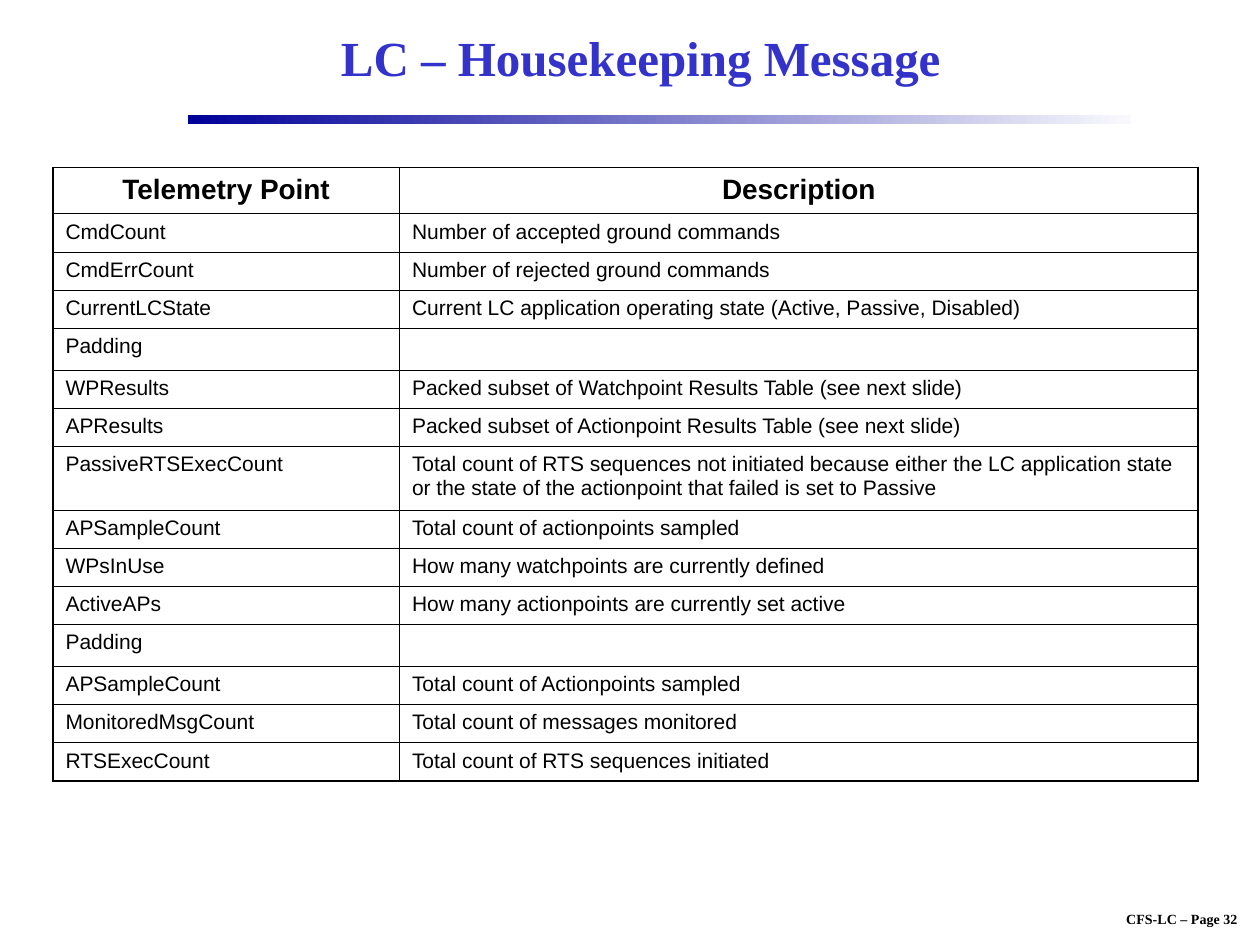
"""Build the LC housekeeping message slide."""
from lxml import etree
from pptx import Presentation, util as u
from pptx.dml.color import RGBColor
from pptx.enum import shapes, text
from pptx.oxml.ns import qn

ROWS = [
    ("Telemetry Point", "Description"),
    ("CmdCount", "Number of accepted ground commands"),
    ("CmdErrCount", "Number of rejected ground commands"),
    ("CurrentLCState", "Current LC application operating state (Active, Passive, Disabled)"),
    ("Padding", ""),
    ("WPResults", "Packed subset of Watchpoint Results Table (see next slide)"),
    ("APResults", "Packed subset of Actionpoint Results Table (see next slide)"),
    ("PassiveRTSExecCount", "Total count of RTS sequences not initiated because either the LC "
     "application state or the state of the actionpoint that failed is set to Passive"),
    ("APSampleCount", "Total count of actionpoints sampled"),
    ("WPsInUse", "How many watchpoints are currently defined"),
    ("ActiveAPs", "How many actionpoints are currently set active"),
    ("Padding", ""),
    ("APSampleCount", "Total count of Actionpoints sampled"),
    ("MonitoredMsgCount", "Total count of messages monitored"),
    ("RTSExecCount", "Total count of RTS sequences initiated"),
]


def tint(code):
    """Turn a hex string into a colour."""
    return RGBColor.from_string(code)


class Deck:
    """Hold the style and the current slide, on a grid of 100 by 75 units."""
    serif, sans = "Times New Roman", "Arial"
    ink, blue, navy, pale, white = "000000", "3333CC", "000099", "F9F9FD", "FFFFFF"
    thin, thick = 0.45, 1.08
    heights = {"Telemetry Point": 26.3, "Padding": 24, "PassiveRTSExecCount": 36.3}

    def __init__(self):
        """Open a deck with one title-only slide."""
        self.prs = Presentation()
        self.prs.slide_width, self.prs.slide_height = u.Inches(10), u.Inches(7.5)
        self.slide = self.prs.slides.add_slide(self.prs.slide_layouts[5])

    def grid(self, *units):
        """Turn grid units into lengths."""
        return [int(self.prs.slide_width * n / 100) for n in units]

    def put(self, para, words, size, face, color, bold=False, align=text.PP_ALIGN.CENTER):
        """Add one styled run to a paragraph."""
        para.alignment = align
        run = para.add_run()
        run.text = words
        font = run.font
        font.size, font.name, font.bold = u.Pt(size), face, bold
        font.color.rgb = tint(color)

    def title(self, words, *box):
        """Place and fill the title."""
        head = self.slide.shapes.title
        head.left, head.top, head.width, head.height = self.grid(*box)
        head.text_frame.vertical_anchor = text.MSO_ANCHOR.MIDDLE
        self.put(head.text_frame.paragraphs[0], words, 28, self.serif, self.blue, True)

    def label(self, words, *box):
        """Add a small unwrapped label."""
        frame = self.slide.shapes.add_textbox(*self.grid(*box)).text_frame
        frame.word_wrap = False
        self.put(frame.paragraphs[0], words, 8, self.serif, self.ink, True)

    def rule(self, *box):
        """Add a bar that fades from left to right."""
        bar = self.slide.shapes.add_shape(shapes.MSO_SHAPE.RECTANGLE, *self.grid(*box))
        bar.shadow.inherit = False
        bar.line.fill.background()
        bar.fill.gradient()
        bar.fill.gradient_angle = 0
        for stop, code in zip(bar.fill.gradient_stops, (self.navy, self.pale)):
            stop.color.rgb = tint(code)

    def edge(self, cell, side, width):
        """Draw one border of a cell."""
        line = etree.SubElement(cell._tc.get_or_add_tcPr(), qn("a:ln" + side),
                                w=str(u.Pt(width)))
        fill = etree.SubElement(line, qn("a:solidFill"))
        etree.SubElement(fill, qn("a:srgbClr"), val=self.ink)

    def table(self, rows, cols, *box):
        """Add a ruled table with a bold heading row."""
        grid = self.slide.shapes.add_table(len(rows), len(cols), *self.grid(*box)).table
        grid.first_row = grid.horz_banding = False
        for col, width in zip(grid.columns, self.grid(*cols)):
            col.width = width
        for r, row in enumerate(rows):
            grid.rows[r].height = u.Pt(self.heights.get(row[0], 21.8))
            for c, words in enumerate(row):
                cell = grid.cell(r, c)
                outer = {"L": c == 0, "R": c == len(cols) - 1,
                         "T": r == 0, "B": r == len(rows) - 1}
                for side, out in outer.items():
                    self.edge(cell, side, self.thick if out else self.thin)
                cell.fill.solid()
                cell.fill.fore_color.rgb = tint(self.white)
                para = cell.text_frame.paragraphs[0]
                if not words:
                    etree.SubElement(para._p, qn("a:endParaRPr"), sz="1200")
                elif r == 0:
                    self.put(para, words, 16, self.sans, self.ink, True)
                else:
                    self.put(para, words, 12, self.sans, self.ink,
                             align=text.PP_ALIGN.LEFT)


def main():
    """Lay out the slide and save it."""
    deck = Deck()
    deck.label("CFS-LC – Page 32", 86.4, 71.8, 14.8, 2.3)
    deck.rule(14.9, 9.15, 74.9, 0.7)
    deck.title("LC – Housekeeping Message", 15, 0.8, 71.7, 7.5)
    deck.table(ROWS, (27.5, 63.4), 4.2, 13.3, 90.9, 48.7)
    deck.prs.save("out.pptx")


if __name__ == "__main__":
    main()
